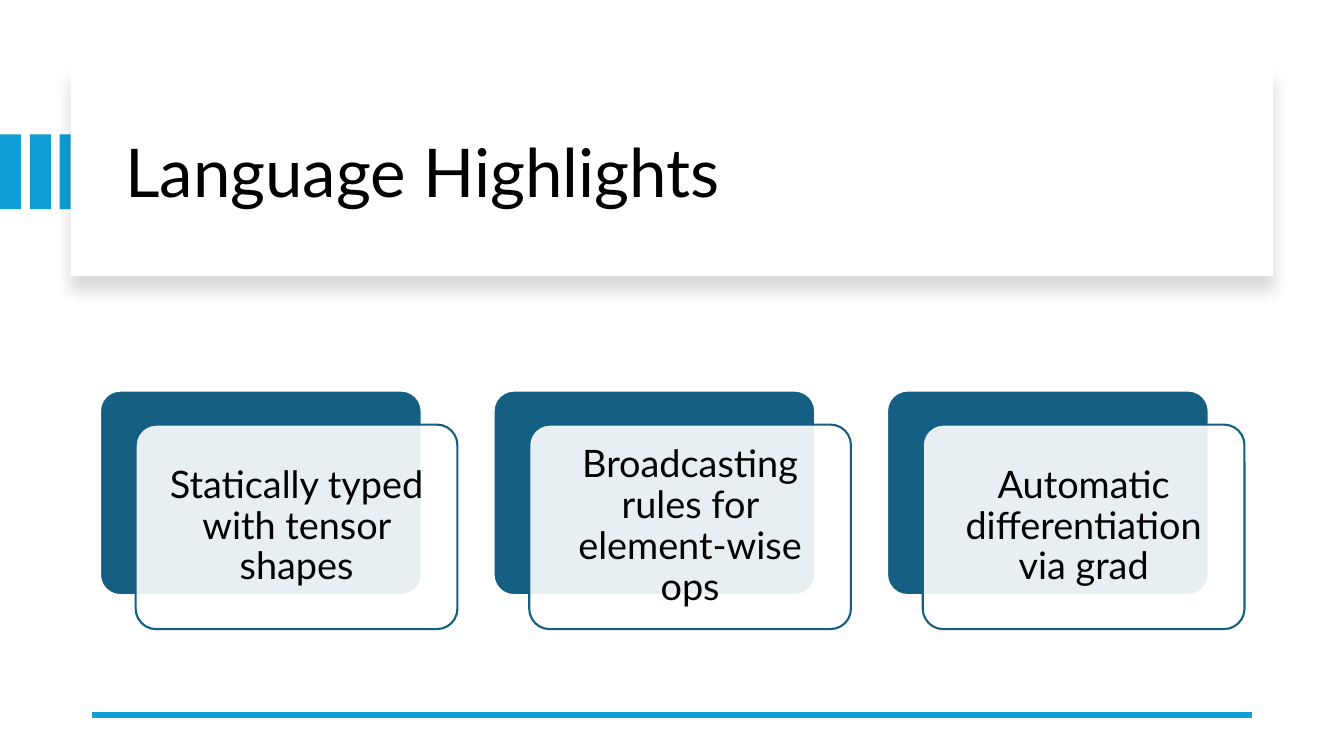
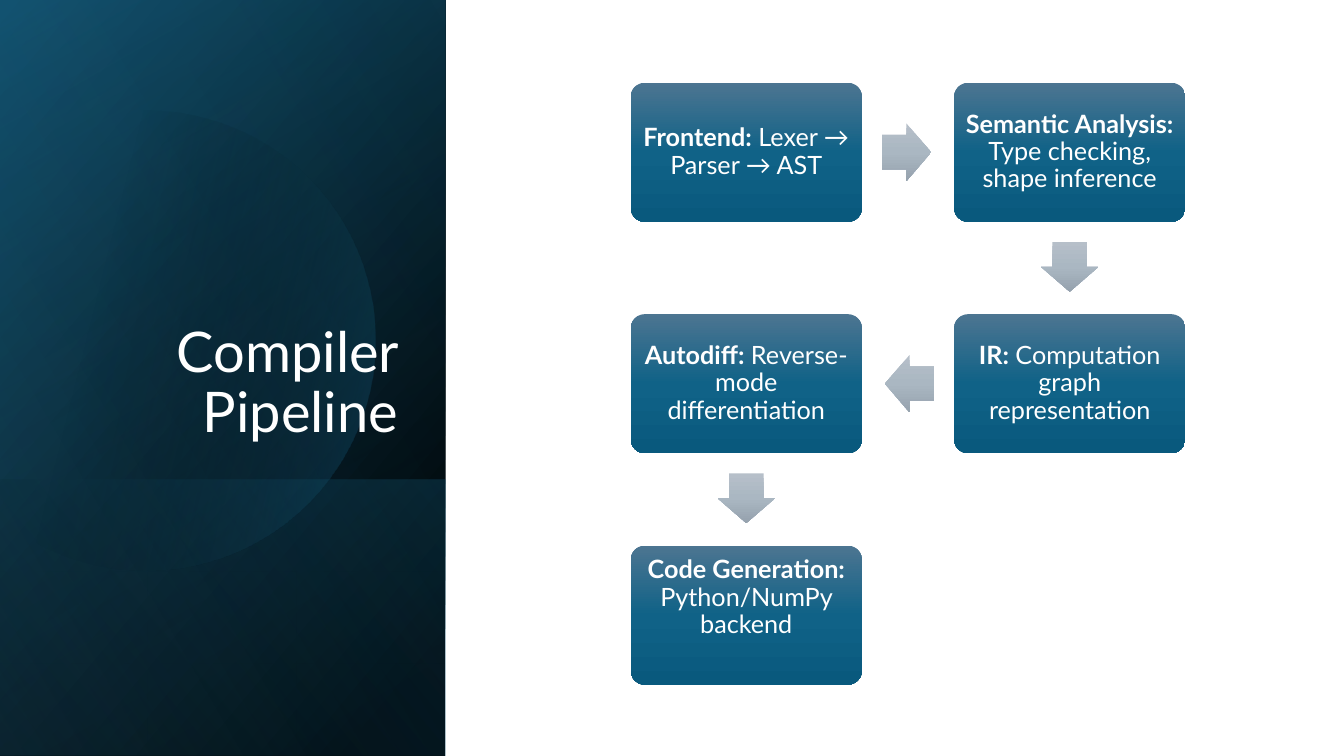
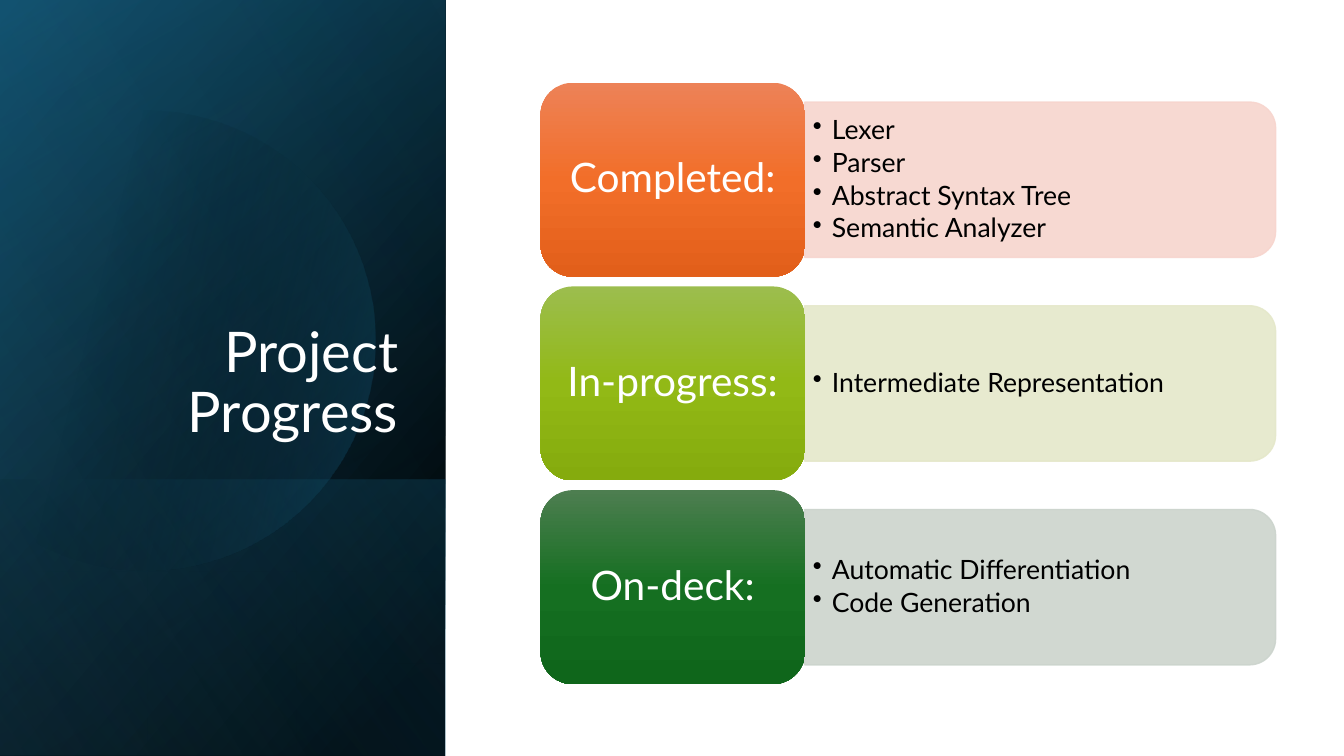
from math import acos, cos, sin

from lxml.etree import SubElement
from pptx import Presentation
from pptx.dml.color import RGBColor
from pptx.enum.shapes import MSO_CONNECTOR, MSO_SHAPE
from pptx.enum.text import MSO_ANCHOR, MSO_AUTO_SIZE, PP_ALIGN
from pptx.oxml.ns import qn
from pptx.util import Emu, Inches, Pt

COLUMNS, ROWS = 32, 18
FONT = "Lato"
BLACK, WHITE = "000000", "FFFFFF"
ACCENT, DEEP, NIGHT, SKY = "0F9ED5", "156082", "104862", "46B1E1"
STEP_SHADES = ("4C7591", "106287", "09597D")
ARROW_SHADES = ("B6BFC9", "AAB7C2", "96A2AE")


def color(value):
    return RGBColor.from_string(value)


def vertical(shades):
    return [(position, shade, 100) for position, shade in zip((0, 50, 100), shades)]


class Builder:
    def __init__(self):
        self.deck = Presentation()
        self.deck.slide_width = Inches(13.33)
        self.deck.slide_height = Inches(7.5)
        self.page = None

    def x(self, columns):
        return Emu(round(self.deck.slide_width * columns / COLUMNS))

    def y(self, rows):
        return Emu(round(self.deck.slide_height * rows / ROWS))

    def place(self, left, top, width, height):
        return self.x(left), self.y(top), self.x(width), self.y(height)

    def add_page(self):
        self.page = self.deck.slides.add_slide(self.deck.slide_layouts[5])

    def title(self, text, area, size, shade, align, anchor):
        box = self.page.shapes.title
        box.left, box.top, box.width, box.height = self.place(*area)
        self.set_text(box, [[(text, False)]], size, shade, align, anchor)
        self.page.shapes._spTree.append(box._element)

    def set_text(self, box, paragraphs, size, shade, align=PP_ALIGN.CENTER,
                 anchor=MSO_ANCHOR.MIDDLE, margins=(0.1, 0.05, 0.1, 0.05), bullet=False):
        frame = box.text_frame
        frame.word_wrap = True
        frame.auto_size = MSO_AUTO_SIZE.NONE
        frame.vertical_anchor = anchor
        (frame.margin_left, frame.margin_top,
         frame.margin_right, frame.margin_bottom) = map(Inches, margins)
        for index, spans in enumerate(paragraphs):
            para = frame.add_paragraph() if index else frame.paragraphs[0]
            para.alignment = align
            para.line_spacing = 0.9
            for text, bold in spans:
                span = para.add_run()
                span.text = text
                span.font.name = FONT
                span.font.size = Pt(size)
                span.font.bold = bold
                span.font.color.rgb = color(shade)
            if bullet:
                para.space_after = Pt(0.15 * size)
                settings = para._p.get_or_add_pPr()
                settings.set("marL", str(Inches(0.19)))
                settings.set("indent", str(-Inches(0.19)))
                SubElement(settings, qn("a:buChar")).set("char", "•")

    def shape(self, kind, area, shade=None, stops=None, angle=90, adjust=()):
        shape = self.page.shapes.add_shape(kind, *self.place(*area))
        for index, value in enumerate(adjust):
            shape.adjustments[index] = value
        return self.finish(shape, shade, stops, angle)

    def finish(self, shape, shade=None, stops=None, angle=90):
        shape.shadow.inherit = False
        shape.line.fill.background()
        if stops:
            self.gradient(shape, stops, angle)
        else:
            shape.fill.solid()
            shape.fill.fore_color.rgb = color(shade)
        return shape

    def gradient(self, shape, stops, angle):
        shape.fill.gradient()
        shape.fill.gradient_angle = 360 - angle
        stop_list = shape._element.spPr.find(qn("a:gradFill")).find(qn("a:gsLst"))
        for old in list(stop_list):
            stop_list.remove(old)
        for position, shade, opacity in stops:
            stop = SubElement(stop_list, qn("a:gs"))
            stop.set("pos", str(position * 1000))
            paint = SubElement(stop, qn("a:srgbClr"))
            paint.set("val", shade)
            SubElement(paint, qn("a:alpha")).set("val", str(opacity * 1000))

    def opacity(self, shape, percent):
        for paint in shape._element.spPr.iter(qn("a:srgbClr")):
            SubElement(paint, qn("a:alpha")).set("val", str(percent * 1000))

    def outline(self, shape, shade, width):
        shape.line.color.rgb = color(shade)
        shape.line.width = Pt(width)

    def drop_shadow(self, shape):
        effects = shape._element.spPr.find(qn("a:effectLst"))
        shadow = SubElement(effects, qn("a:outerShdw"))
        for name, value in (("blurRad", Pt(11)), ("dist", Pt(10)),
                            ("dir", 90 * 60000), ("rotWithShape", 0)):
            shadow.set(name, str(value))
        paint = SubElement(shadow, qn("a:srgbClr"))
        paint.set("val", BLACK)
        SubElement(paint, qn("a:alpha")).set("val", "15000")

    def rule(self, left, right, row):
        line = self.page.shapes.add_connector(
            MSO_CONNECTOR.STRAIGHT, self.x(left), self.y(row), self.x(right), self.y(row))
        self.outline(line, ACCENT, 4.5)
        SubElement(line._element.spPr, qn("a:effectLst"))

    def cut_disc(self, center_x, center_y, radius, stops, angle):
        reach = acos(-center_x / radius)
        turns = [reach * (step / 60 - 1) for step in range(121)]
        points = [(self.x(center_x + radius * cos(turn)),
                   self.y(center_y + radius * sin(turn))) for turn in turns]
        builder = self.page.shapes.build_freeform(*points[0])
        builder.add_line_segments(points[1:], close=True)
        self.finish(builder.convert_to_shape(), stops=stops, angle=angle)

    def side_panel(self, title):
        panel, band = (0, 0, 10.6, ROWS), (0, 11.42, 10.6, 6.58)
        rectangle = MSO_SHAPE.RECTANGLE
        self.shape(rectangle, panel, stops=[(8, BLACK, 100), (100, NIGHT, 100)], angle=220)
        self.shape(rectangle, panel, stops=[(0, BLACK, 0), (99, DEEP, 46)], angle=240)
        self.shape(rectangle, band, stops=[(2, DEEP, 29), (100, BLACK, 30)], angle=140)
        self.cut_disc(3.48, 8.11, 5.47, [(29, BLACK, 0), (100, DEEP, 43)], 14)
        self.shape(rectangle, panel, stops=[(0, BLACK, 0), (99, SKY, 11)], angle=150)
        self.title(title, (1.54, 4.42, 8.18, 6.29), 40, WHITE,
                   PP_ALIGN.RIGHT, MSO_ANCHOR.BOTTOM)

    def card(self, left, top, text):
        size = (7.66, 4.87)
        back = self.shape(MSO_SHAPE.ROUNDED_RECTANGLE, (left, top, *size), DEEP, adjust=[0.1])
        self.outline(back, WHITE, 1.5)
        front = self.shape(MSO_SHAPE.ROUNDED_RECTANGLE,
                           (left + 0.85, top + 0.81, *size), WHITE, adjust=[0.1])
        self.opacity(front, 90)
        self.outline(front, DEEP, 1.5)
        self.set_text(front, [[(text, False)]], 27, BLACK, margins=[0.11] * 4)

    def step(self, left, top, size, label, detail, bottom):
        box = self.shape(MSO_SHAPE.ROUNDED_RECTANGLE, (left, top, *size),
                         stops=vertical(STEP_SHADES), adjust=[0.1])
        self.set_text(box, [[(label, True), (" " + detail, False)]], 18, WHITE,
                      margins=(0.07, 0.07, 0.07, bottom))

    def arrow(self, start, end):
        center_x, center_y = (a + (b - a) * 0.495 for a, b in zip(start, end))
        width, height = 1.18, 1.37
        kind = MSO_SHAPE.RIGHT_ARROW if end[0] > start[0] else MSO_SHAPE.LEFT_ARROW
        if end[1] > start[1]:
            kind, width, height = MSO_SHAPE.DOWN_ARROW, height, width
        self.shape(kind, (center_x - width / 2, center_y - height / 2, width, height),
                   stops=vertical(ARROW_SHADES), adjust=[0.6, 0.5])

    def status(self, top, heading, shades, tint, items):
        left, width, height = 19.16, 11.21, 3.7
        panel = self.shape(MSO_SHAPE.ROUND_2_SAME_RECTANGLE,
                           (left + (width - height) / 2, top + 0.46 + (height - width) / 2,
                            height, width), tint)
        panel.rotation = 90
        self.outline(panel, tint, 1)
        self.opacity(panel, 90)
        box = self.page.shapes.add_textbox(*self.place(left, top + 0.65, 11.02, 3.34))
        self.set_text(box, [[(item, False)] for item in items], 19, BLACK, PP_ALIGN.LEFT,
                      margins=(0.08, 0.04, 0.08, 0.04), bullet=True)
        label = self.shape(MSO_SHAPE.ROUNDED_RECTANGLE, (12.87, top, 6.3, 4.62),
                           stops=vertical(shades))
        self.set_text(label, [[(heading, False)]], 29, WHITE, margins=(0.12, 0.06, 0.12, 0.06))


def highlights(builder):
    builder.add_page()
    for index in range(3):
        builder.shape(MSO_SHAPE.RECTANGLE, (0.71 * index, 3.2, 0.5, 1.78), ACCENT)
    banner = builder.shape(MSO_SHAPE.RECTANGLE, (1.68, 1.6, 28.63, 4.97), WHITE)
    builder.drop_shadow(banner)
    builder.title("Language Highlights", (2.74, 2.14, 26.71, 4.08), 48, BLACK,
                  PP_ALIGN.LEFT, MSO_ANCHOR.MIDDLE)
    builder.rule(2.2, 29.8, 17.02)
    for index, text in enumerate(("Statically typed with tensor shapes",
                                  "Broadcasting rules for element-wise ops",
                                  "Automatic differentiation via grad")):
        builder.card(2.38 + 9.37 * index, 9.3, text)


def pipeline(builder):
    builder.add_page()
    builder.side_panel("Compiler Pipeline")
    width, height = 5.5, 3.31
    steps = (
        (0, 0, "Frontend:", "Lexer → Parser → AST", 0.07),
        (1, 0, "Semantic Analysis:", "Type checking, shape inference", 0.07),
        (1, 1, "IR:", "Computation graph representation", 0.07),
        (0, 1, "Autodiff:", "Reverse-mode differentiation", 0.07),
        (0, 2, "Code Generation:", "Python/NumPy backend", 0.41),
    )
    previous = None
    for column, row, label, detail, bottom in steps:
        left, top = 15.02 + 7.7 * column, 1.97 + 5.51 * row
        center = (left + width / 2, top + height / 2)
        if previous:
            builder.arrow(previous, center)
        builder.step(left, top, (width, height), label, detail, bottom)
        previous = center


def progress(builder):
    builder.add_page()
    builder.side_panel("Project Progress")
    groups = (
        ("Completed:", ("ED8257", "F26E29", "E25F1A"), "F7D5CE",
         ("Lexer", "Parser", "Abstract Syntax Tree", "Semantic Analyzer")),
        ("In-progress:", ("9CBD4E", "92B916", "85AB0D"), "E5E8CA",
         ("Intermediate Representation",)),
        ("On-deck:", ("4D7E50", "156F21", "0F661B"), "CCD4CD",
         ("Automatic Differentiation", "Code Generation")),
    )
    for index, group in enumerate(groups):
        builder.status(1.97 + 4.85 * index, *group)


def main():
    builder = Builder()
    for build in (highlights, pipeline, progress):
        build(builder)
    builder.deck.save("out.pptx")


if __name__ == "__main__":
    main()
